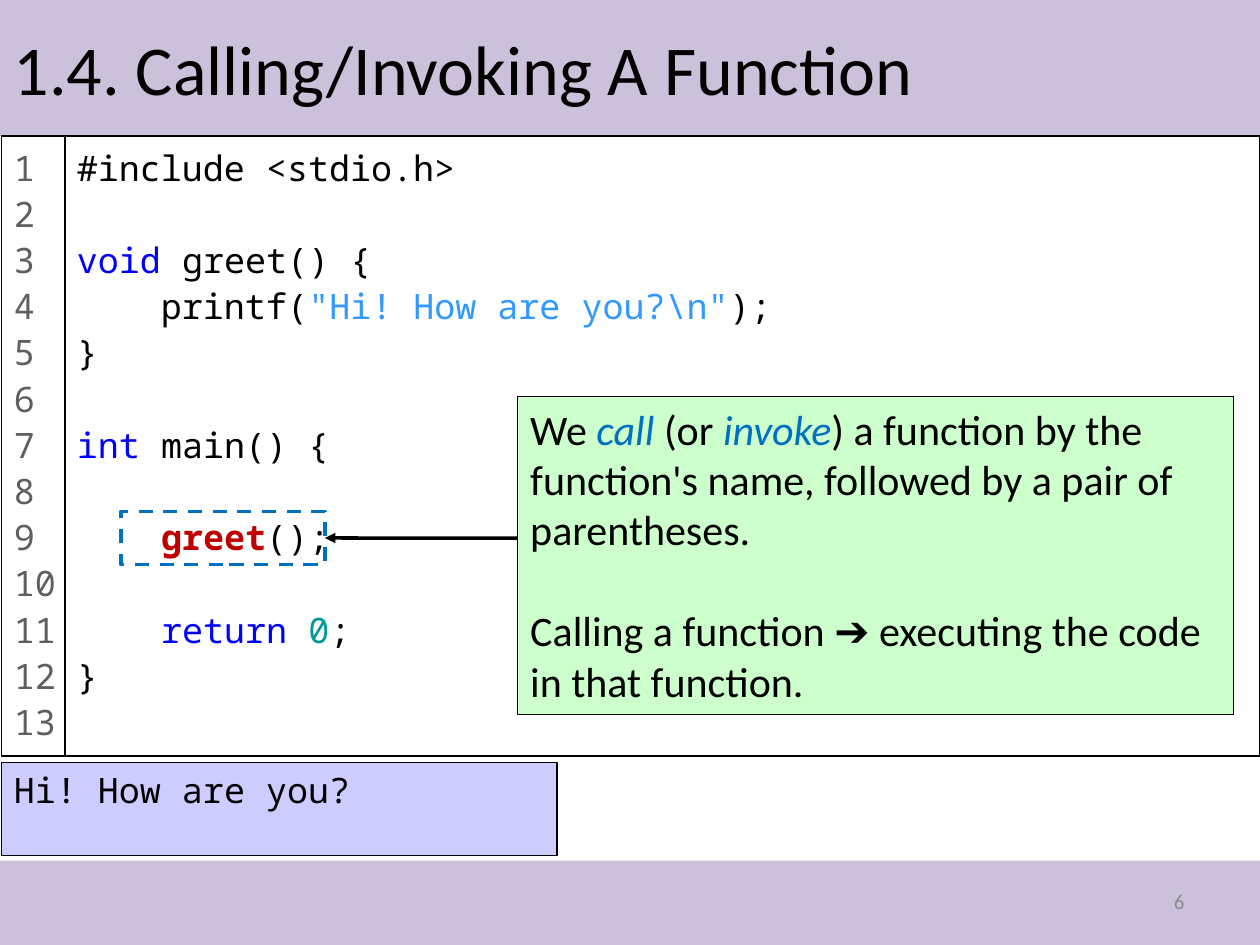
from lxml.etree import SubElement
from pptx import Presentation
from pptx.dml.color import RGBColor
from pptx.enum.dml import MSO_LINE_DASH_STYLE as Dash
from pptx.enum.shapes import MSO_CONNECTOR as Connector, MSO_SHAPE as Shape
from pptx.enum.text import MSO_ANCHOR as Anchor, PP_ALIGN as Align
from pptx.oxml.ns import qn
from pptx.util import Cm, Pt

BLACK = RGBColor(0x00, 0x00, 0x00)
WHITE = RGBColor(0xFF, 0xFF, 0xFF)
LILAC = RGBColor(0xCC, 0xC1, 0xDA)
LAVENDER = RGBColor(0xCC, 0xCC, 0xFF)
MINT = RGBColor(0xCC, 0xFF, 0xCC)
PAGE_GRAY = RGBColor(0x8C, 0x8C, 0x8C)
NUMBER_GRAY = RGBColor(0x5F, 0x5F, 0x5F)
KEYWORD = RGBColor(0x00, 0x00, 0xFF)
STRING = RGBColor(0x33, 0x99, 0xFF)
DIGIT = RGBColor(0x00, 0x99, 0x99)
CALL_RED = RGBColor(0xC0, 0x00, 0x00)
TERM_BLUE = RGBColor(0x00, 0x70, 0xC0)

SANS, MONO = "Calibri", "Noto Sans Mono"
CODE_PITCH = Pt(26.4)

prs = Presentation()
prs.slide_width, prs.slide_height = Cm(25.4), Cm(19.05)
slide = prs.slides.add_slide(prs.slide_layouts[6])


def add_box(left, top, width, height, fill=None, line=None, weight=0.75):
    box = slide.shapes.add_shape(Shape.RECTANGLE, Cm(left), Cm(top), Cm(width), Cm(height))
    box.shadow.inherit = False
    if fill is None:
        box.fill.background()
    else:
        box.fill.solid()
        box.fill.fore_color.rgb = fill
    if line is None:
        box.line.fill.background()
    else:
        box.line.color.rgb = line
        box.line.width = Pt(weight)
    box.text_frame.word_wrap = True
    box.text_frame.vertical_anchor = Anchor.TOP
    return box


def write(paragraph, segments, font, size):
    paragraph.alignment = Align.LEFT
    for text, color in segments:
        run = paragraph.add_run()
        run.text = text
        run.font.name = font
        run.font.size = Pt(size)
        run.font.color.rgb = color
        run.font.bold = color == CALL_RED
        run.font.italic = color == TERM_BLUE


add_box(0, 0, 25.4, 2.74, LILAC)
add_box(0, 17.35, 25.4, 1.7, LILAC)

page_number = slide.shapes.add_textbox(Cm(18.21), Cm(17.65), Cm(5.92), Cm(1.02)).text_frame
page_number.word_wrap = True
page_number.vertical_anchor = Anchor.MIDDLE
write(page_number.paragraphs[0], [("6", PAGE_GRAY)], SANS, 12)
page_number.paragraphs[0].alignment = Align.RIGHT

code_lines = [
    [("#include <stdio.h>", BLACK)],
    [],
    [("void ", KEYWORD), ("greet() {", BLACK)],
    [("    printf(", BLACK), ('"Hi! How are you?\\n"', STRING), (");", BLACK)],
    [("}", BLACK)],
    [],
    [("int", KEYWORD), (" main() {", BLACK)],
    [],
    [("    ", BLACK), ("greet", CALL_RED), ("();", BLACK)],
    [],
    [("    ", BLACK), ("return ", KEYWORD), ("0", DIGIT), (";", BLACK)],
    [("}", BLACK)],
]
code = add_box(1.3, 2.74, 24.1, 12.5, WHITE, BLACK).text_frame
after_gap = False
for index, segments in enumerate(code_lines):
    if segments:
        paragraph = code.add_paragraph() if index else code.paragraphs[0]
        paragraph.line_spacing = 1.1
        if after_gap:
            paragraph.space_before = CODE_PITCH
        write(paragraph, segments, MONO, 20)
    after_gap = not segments

line_numbers = add_box(0.03, 2.74, 1.28, 12.5, WHITE, BLACK).text_frame
line_numbers.word_wrap = False
for number in range(1, 14):
    paragraph = line_numbers.add_paragraph() if number > 1 else line_numbers.paragraphs[0]
    paragraph.line_spacing = 1.1
    write(paragraph, [(str(number), NUMBER_GRAY)], MONO, 20)

output = add_box(0.03, 15.37, 11.2, 1.88, LAVENDER, BLACK).text_frame
write(output.paragraphs[0], [("Hi! How are you?", BLACK)], MONO, 20)

title = slide.shapes.add_textbox(Cm(0.03), Cm(0), Cm(25.37), Cm(2.74)).text_frame
title.word_wrap = True
title.vertical_anchor = Anchor.MIDDLE
write(title.paragraphs[0], [("1.4. Calling/Invoking A Function", BLACK)], SANS, 40)

call_frame = add_box(2.44, 10.31, 4.11, 1.07, line=TERM_BLUE, weight=2)
call_frame.line.dash_style = Dash.DASH

explanation = add_box(10.44, 8, 14.43, 6.4, MINT, BLACK).text_frame
write(explanation.paragraphs[0], [
    ("We ", BLACK),
    ("call ", TERM_BLUE),
    ("(or ", BLACK),
    ("invoke", TERM_BLUE),
    (") a function by the function's name, followed by a pair of parentheses.", BLACK),
], SANS, 24)
meaning = explanation.add_paragraph()
meaning.space_before = Pt(29)
write(meaning, [("Calling a function ➔ executing the code in that function.", BLACK)], SANS, 24)

arrow = slide.shapes.add_connector(Connector.STRAIGHT, Cm(10.44), Cm(10.85), Cm(6.55), Cm(10.85))
arrow.end_connect(call_frame, 3)
arrow.line.color.rgb = BLACK
arrow.line.width = Pt(2)
SubElement(arrow.line._get_or_add_ln(), qn("a:tailEnd"), type="triangle")
SubElement(arrow._element.spPr, qn("a:effectLst"))

prs.save("out.pptx")
